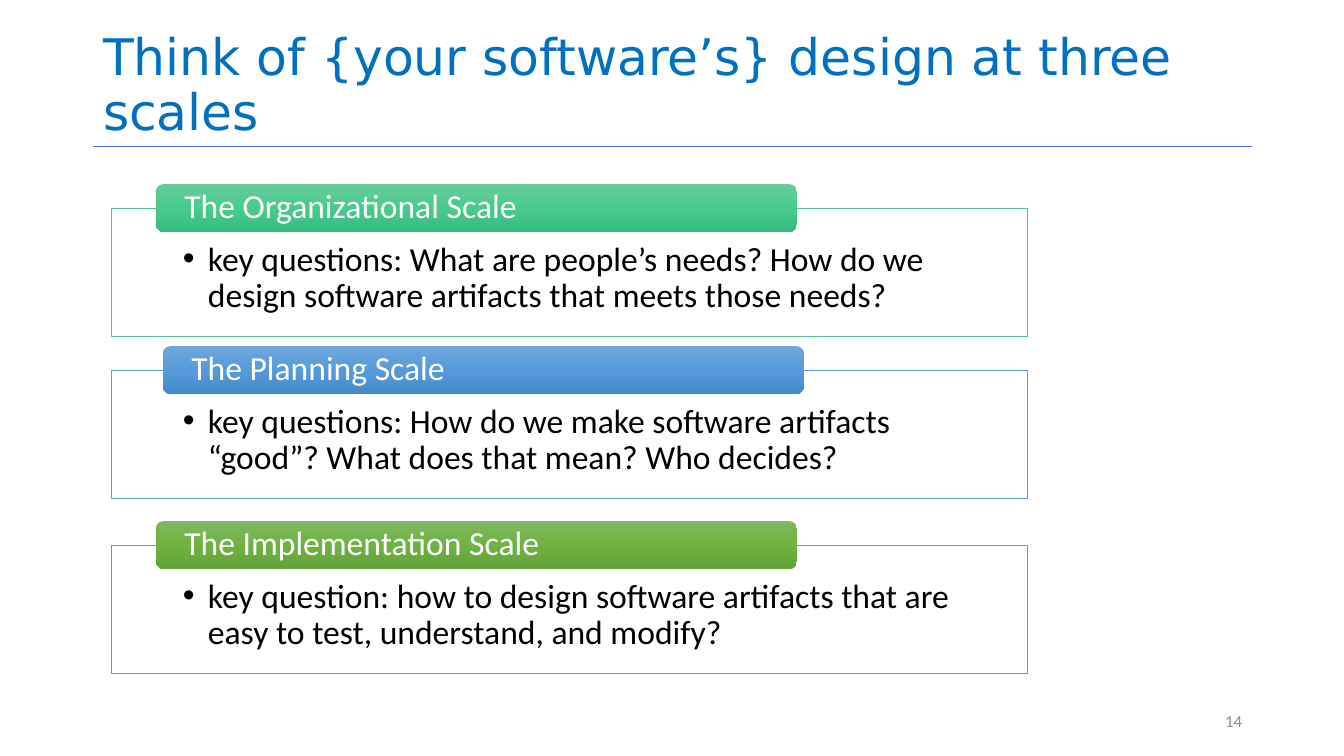
from dataclasses import dataclass

from lxml import etree
from pptx import Presentation
from pptx.dml.color import RGBColor
from pptx.enum.shapes import MSO_CONNECTOR, MSO_SHAPE
from pptx.enum.text import MSO_ANCHOR, PP_ALIGN
from pptx.oxml.ns import qn
from pptx.util import Pt

RECT, ROUND = MSO_SHAPE.RECTANGLE, MSO_SHAPE.ROUNDED_RECTANGLE
STRAIGHT = MSO_CONNECTOR.STRAIGHT
TOP, MIDDLE, BOTTOM = MSO_ANCHOR.TOP, MSO_ANCHOR.MIDDLE, MSO_ANCHOR.BOTTOM
LEFT, RIGHT = PP_ALIGN.LEFT, PP_ALIGN.RIGHT
SCALE = 914400 / 100.8
TITLE_ONLY = 5


@dataclass(frozen=True)
class Theme:
    """Colours, fonts and type sizes of the slide."""
    title: str = "0070C0"
    rule: str = "4472C4"
    body: str = "000000"
    paper: str = "FFFFFF"
    number: str = "8C8C8C"
    head_font: str = "DejaVu Sans"
    body_font: str = "Calibri"
    head_size: int = 36
    body_size: int = 24
    small_size: int = 12
    hairline: float = 0.5


THEME = Theme()

SCALES = [
    (208, 156, "The Organizational Scale",
     "key questions: What are people’s needs? How do we design software "
     "artifacts that meets those needs?",
     "4DC58D", ("67CC9A", "47CB8D", "38BB7E")),
    (370, 163, "The Planning Scale",
     "key questions: How do we make software artifacts “good”? "
     "What does that mean? Who decides?",
     "5B9BD5", ("71A6DB", "559BDB", "448ACA")),
    (545, 156, "The Implementation Scale",
     "key question: how to design software artifacts that are easy to test, "
     "understand, and modify?",
     "70AD47", ("81B861", "6FB242", "62A336")),
]


def px(count):
    """Turn pixels into EMU."""
    return round(count * SCALE)


def area(left, top, width, height):
    """Turn a pixel box into EMU."""
    return [px(side) for side in (left, top, width, height)]


def apply(item, values):
    """Set every attribute named in a dict."""
    for name, value in values.items():
        setattr(item, name, value)


def write(shape, text, size, color, frame, para, font=THEME.body_font, bullet=False):
    """Fill a shape with one formatted paragraph."""
    apply(shape.text_frame, {"word_wrap": True, **frame})
    line = shape.text_frame.paragraphs[0]
    line.text = text
    apply(line, {"alignment": LEFT, **para})
    if bullet:
        props = line._p.get_or_add_pPr()
        props.set("marL", str(px(25)))
        props.set("indent", str(-px(25)))
        etree.SubElement(props, qn("a:buFont"), typeface="Arial")
        etree.SubElement(props, qn("a:buChar"), char="•")
    apply(line.font, {"name": font, "size": Pt(size)})
    line.font.color.rgb = RGBColor.from_string(color)


def shade(shape, colors):
    """Give a shape an even gradient from top to bottom."""
    shape.fill.gradient()
    grad = shape._element.spPr.find(qn("a:gradFill"))
    stops = grad.find(qn("a:gsLst"))
    for stop in list(stops):
        stops.remove(stop)
    for place, color in enumerate(colors):
        stop = etree.SubElement(stops, qn("a:gs"), pos=str(place * 50000))
        etree.SubElement(stop, qn("a:srgbClr"), val=color)
    shape.fill.gradient_angle = 270


def add_title(slide, text):
    """Place the title and the rule below it."""
    title = slide.shapes.title
    names = ("left", "top", "width", "height")
    apply(title, dict(zip(names, area(93, 0, 1159, 146))))
    write(title, text, THEME.head_size, THEME.title, {"vertical_anchor": BOTTOM},
          {"line_spacing": 0.9}, THEME.head_font)
    rule = slide.shapes.add_connector(STRAIGHT, px(93), px(146), px(1252), px(146))
    rule.line.color.rgb = RGBColor.from_string(THEME.rule)
    rule.line.width = Pt(THEME.hairline)
    etree.SubElement(rule._element.spPr, qn("a:effectLst"))


def add_box(slide, top, text, color):
    """Draw an outlined box with a bulleted question."""
    box = slide.shapes.add_shape(RECT, *area(111, top, 916, 128))
    box.shadow.inherit = False
    box.fill.solid()
    box.fill.fore_color.rgb = RGBColor.from_string(THEME.paper)
    tint = box._element.spPr.find(qn("a:solidFill"))[0]
    etree.SubElement(tint, qn("a:alpha"), val="90000")
    box.line.color.rgb = RGBColor.from_string(color)
    box.line.width = Pt(THEME.hairline)
    frame = {"vertical_anchor": TOP, "margin_left": px(72), "margin_right": px(72),
             "margin_top": px(34), "margin_bottom": px(19)}
    write(box, text, THEME.body_size, THEME.body, frame,
          {"level": 1, "line_spacing": 0.9}, bullet=True)


def add_tab(slide, left, top, text, colors):
    """Draw a rounded heading tab."""
    tab = slide.shapes.add_shape(ROUND, *area(left, top, 641, 48))
    tab.shadow.inherit = False
    tab.line.fill.background()
    shade(tab, colors)
    frame = {"vertical_anchor": MIDDLE, "margin_left": px(26), "margin_right": px(26),
             "margin_top": px(2), "margin_bottom": px(2)}
    write(tab, text, THEME.body_size, THEME.paper, frame, {"line_spacing": 0.9})


def add_number(slide, text):
    """Place the slide number."""
    label = slide.shapes.add_textbox(*area(950, 701, 302, 40))
    write(label, text, THEME.small_size, THEME.number, {"vertical_anchor": MIDDLE},
          {"alignment": RIGHT})


def main():
    """Build and save the slide."""
    deck = Presentation()
    apply(deck, {"slide_width": px(1344), "slide_height": px(756)})
    slide = deck.slides.add_slide(deck.slide_layouts[TITLE_ONLY])
    add_title(slide, "Think of {your software’s} design at three scales")
    for top, left, name, question, color, shades in SCALES:
        add_box(slide, top, question, color)
        add_tab(slide, left, top - 24, name, shades)
    add_number(slide, "14")
    deck.save("out.pptx")


if __name__ == "__main__":
    main()
